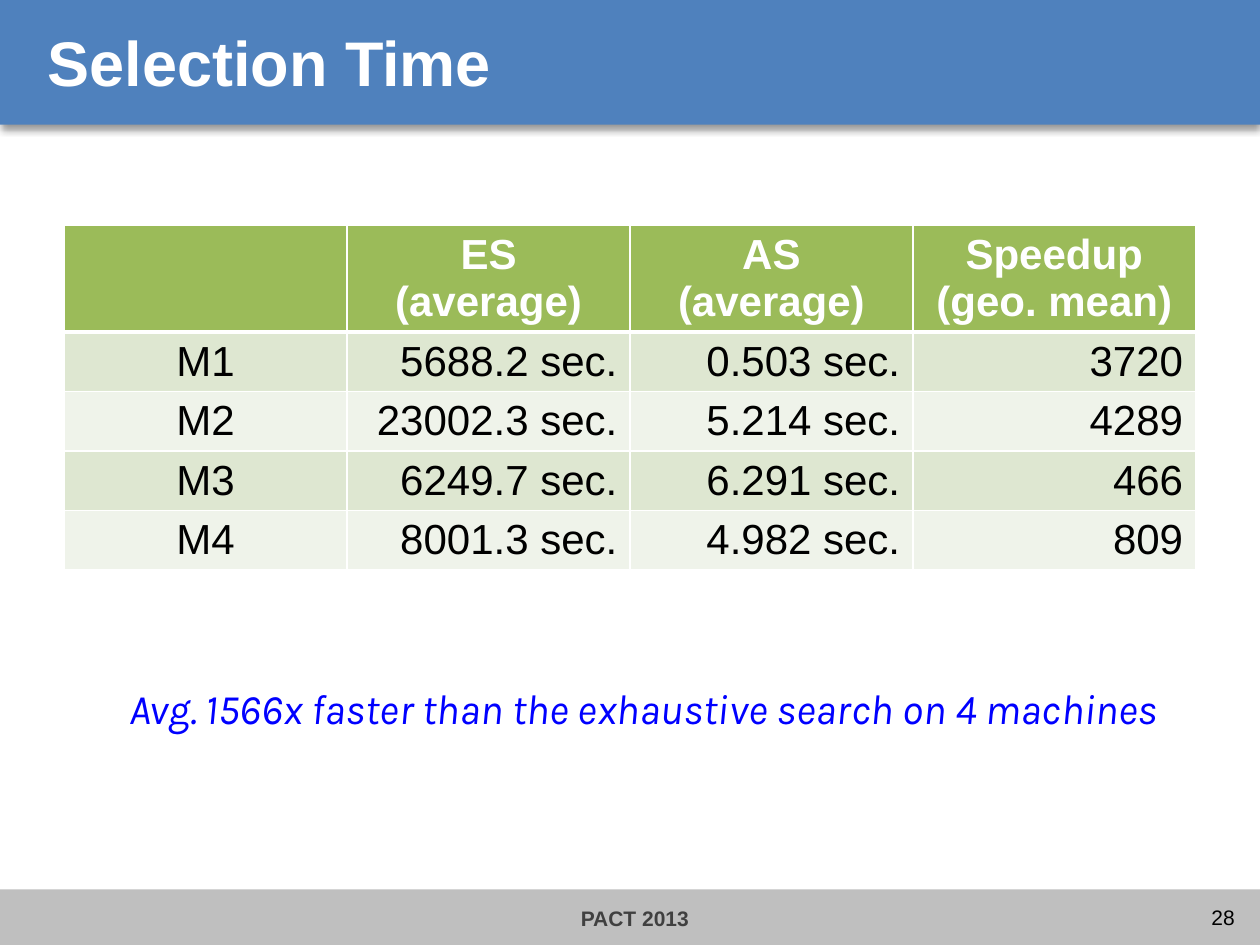
from lxml import etree
from pptx import Presentation
from pptx.dml.color import RGBColor
from pptx.enum.shapes import MSO_SHAPE as Shape
from pptx.enum.text import MSO_ANCHOR as Anchor, MSO_AUTO_SIZE as AutoSize, PP_ALIGN as Align
from pptx.oxml import parse_xml
from pptx.oxml.ns import nsdecls, qn
from pptx.util import Inches, Pt

BLUE = RGBColor(0x4F, 0x81, 0xBD)
GREEN = RGBColor(0x9B, 0xBB, 0x59)
BANDS = (RGBColor(0xEF, 0xF3, 0xEA), RGBColor(0xDE, 0xE7, 0xD1))
GRAY = RGBColor(0xBF, 0xBF, 0xBF)
DARK = RGBColor(0x40, 0x40, 0x40)
WHITE = RGBColor(0xFF, 0xFF, 0xFF)
BLACK = RGBColor(0, 0, 0)
ACCENT = RGBColor(0, 0, 0xFF)

COLUMNS, ROWS = 100, 75
RESULTS = (
    ("", "ES\n(average)", "AS\n(average)", "Speedup\n(geo. mean)"),
    ("M1", "5688.2 sec.", "0.503 sec.", "3720"),
    ("M2", "23002.3 sec.", "5.214 sec.", "4289"),
    ("M3", "6249.7 sec.", "6.291 sec.", "466"),
    ("M4", "8001.3 sec.", "4.982 sec.", "809"),
)


class SlideBuilder:
    font = {"name": "Arial", "size": Pt(24), "bold": False, "italic": False}

    def __init__(self, presentation):
        self.column = presentation.slide_width / COLUMNS
        self.row = presentation.slide_height / ROWS
        self.slide = presentation.slides.add_slide(presentation.slide_layouts[5])
        self.shapes = self.slide.shapes

    def place(self, left, top, width, height):
        return (round(left * self.column), round(top * self.row),
                round(width * self.column), round(height * self.row))

    def fill_text(self, frame, text, color, align=Align.LEFT, **changes):
        frame.text = text
        for paragraph in frame.paragraphs:
            paragraph.alignment = align
            for name, value in {**self.font, **changes}.items():
                setattr(paragraph.font, name, value)
            paragraph.font.color.rgb = color

    def bar(self, area, color, shadow=False):
        shape = self.shapes.add_shape(Shape.RECTANGLE, *self.place(*area))
        shape.shadow.inherit = False
        shape.fill.solid()
        shape.fill.fore_color.rgb = color
        shape.line.fill.background()
        if shadow:
            effects = shape.element.spPr.find(qn("a:effectLst"))
            effects.append(parse_xml(
                f'<a:outerShdw {nsdecls("a")} blurRad="{Pt(4)}" dist="{Pt(3)}" '
                'dir="5400000" rotWithShape="0"><a:srgbClr val="000000">'
                '<a:alpha val="40000"/></a:srgbClr></a:outerShdw>'))

    def title(self, area, text):
        title = self.shapes.title
        title.left, title.top, title.width, title.height = self.place(*area)
        self.shapes.element.append(title.element)
        title.text_frame.vertical_anchor = Anchor.MIDDLE
        title.text_frame.auto_size = AutoSize.NONE
        self.fill_text(title.text_frame, text, WHITE, size=Pt(36), bold=True)

    def text(self, area, text, color, align, wrap=False, inset=True,
             anchor=Anchor.TOP, **changes):
        frame = self.shapes.add_textbox(*self.place(*area)).text_frame
        settings = {"word_wrap": wrap, "vertical_anchor": anchor,
                    "auto_size": AutoSize.NONE if wrap else AutoSize.SHAPE_TO_FIT_TEXT}
        if not inset:
            settings.update({f"margin_{side}": 0 for side in ("left", "top", "right", "bottom")})
        for name, value in settings.items():
            setattr(frame, name, value)
        self.fill_text(frame, text, color, align, **changes)

    def borders(self, cell, bottom):
        properties = cell._tc.get_or_add_tcPr()
        for index, (side, width) in enumerate(zip("LRTB", (1, 1, 1, bottom))):
            line = etree.Element(qn(f"a:ln{side}"), w=str(Pt(width)))
            fill = etree.SubElement(line, qn("a:solidFill"))
            etree.SubElement(fill, qn("a:srgbClr"), val=str(WHITE))
            properties.insert(index, line)

    def table(self, area, values, header_height):
        table = self.shapes.add_table(len(values), len(values[0]), *self.place(*area)).table
        body_height = (area[3] - header_height) / (len(values) - 1)
        for r, row in enumerate(values):
            header = r == 0
            table.rows[r].height = round((header_height if header else body_height) * self.row)
            for c, value in enumerate(row):
                cell = table.cell(r, c)
                cell.fill.solid()
                cell.fill.fore_color.rgb = GREEN if header else BANDS[r % 2]
                align = Align.CENTER if header or c == 0 else Align.RIGHT
                color = WHITE if header else BLACK
                self.fill_text(cell.text_frame, value, color, align, bold=header)
                self.borders(cell, 3 if header else 1)


def main():
    presentation = Presentation()
    presentation.slide_width, presentation.slide_height = Inches(10), Inches(7.5)
    builder = SlideBuilder(presentation)
    builder.bar((0, 70.6, COLUMNS, 4.4), GRAY)
    builder.bar((0, 0, COLUMNS, 9.9), BLUE, shadow=True)
    builder.title((2.8, 1.3, 94.5, 7.1), "Selection Time")
    builder.table((5.1, 17.9, 89.8, 27.3), RESULTS, header_height=8.4)
    footer = {"inset": False, "anchor": Anchor.MIDDLE, "size": Pt(12)}
    builder.text((46.1, 71.9, 8.7, 2), "PACT 2013", DARK, Align.LEFT, bold=True, **footer)
    builder.text((90.9, 71.6, 7.1, 2.4), "28", BLACK, Align.RIGHT, wrap=True, **footer)
    builder.text((4.3, 53.7, 93.5, 5),
                 "Avg. 1566x faster than the exhaustive search on 4 machines",
                 ACCENT, Align.CENTER, name="Karla", italic=True)
    presentation.save("out.pptx")


if __name__ == "__main__":
    main()
